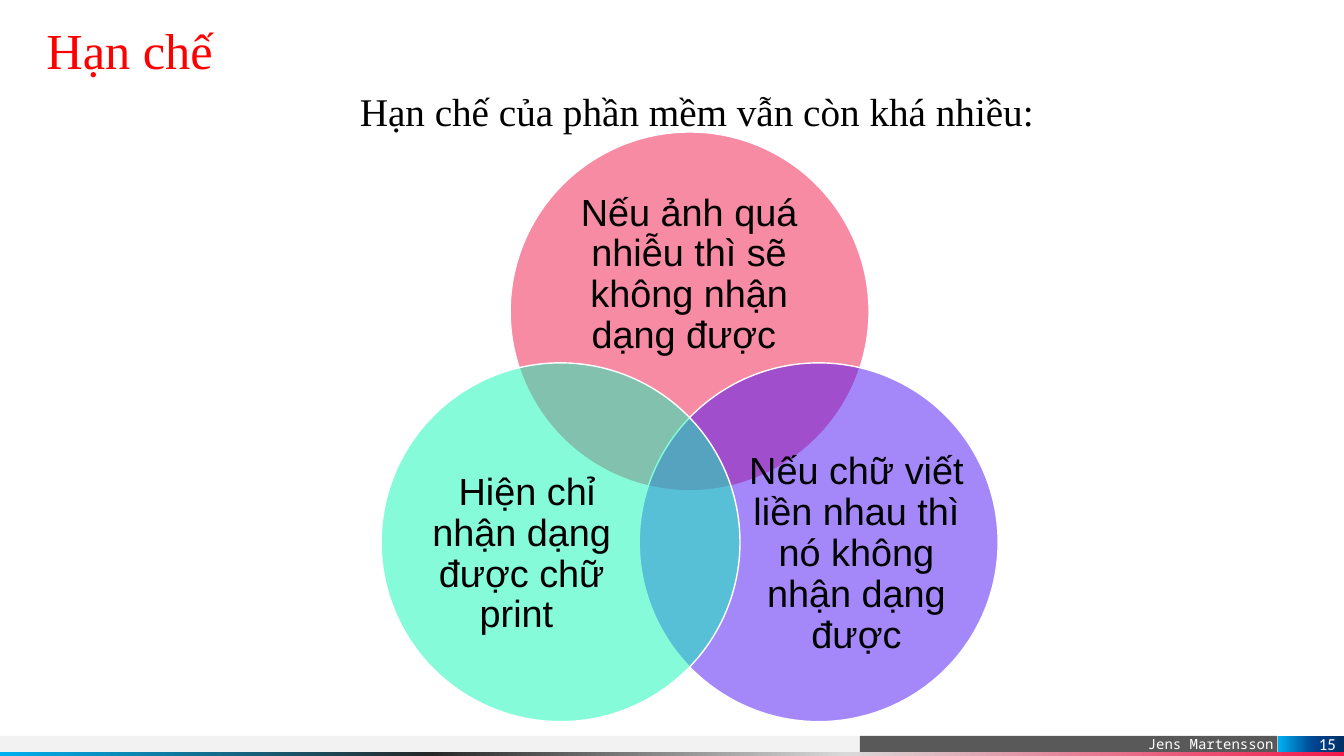
from dataclasses import dataclass

from lxml import etree
from pptx import Presentation
from pptx.dml.color import RGBColor
from pptx.enum.shapes import MSO_SHAPE
from pptx.enum.text import MSO_ANCHOR, MSO_AUTO_SIZE, PP_ALIGN
from pptx.oxml import parse_xml
from pptx.oxml.ns import nsdecls, qn
from pptx.util import Inches, Pt

RECTANGLE, OVAL = MSO_SHAPE.RECTANGLE, MSO_SHAPE.OVAL
LEFT, CENTER, RIGHT = PP_ALIGN.LEFT, PP_ALIGN.CENTER, PP_ALIGN.RIGHT
TOP, MIDDLE, BOTTOM = MSO_ANCHOR.TOP, MSO_ANCHOR.MIDDLE, MSO_ANCHOR.BOTTOM
NO_AUTO_SIZE = MSO_AUTO_SIZE.NONE


@dataclass(frozen=True)
class Theme:
    red: str = "FF0000"
    black: str = "000000"
    white: str = "FFFFFF"
    light_gray: str = "F2F2F2"
    dark_gray: str = "595959"
    pink: str = "F2194A"
    violet: str = "4B13F5"
    mint: str = "0CF8B6"
    strip_stops: tuple = ((0, "F2194A"), (37, "D9D9D9"), (68, "262626"), (100, "00B0F0"))
    number_stops: tuple = ((0, "003065"), (47, "004490"), (100, "00B0F0"))
    serif: str = "Times New Roman"
    sans: str = "Arial"
    mono: str = "Noto Sans Mono"
    number_font: str = "Calibri"
    title_size: int = 36
    lead_size: int = 28
    circle_size: int = 27
    number_size: int = 12
    footer_size: int = 10


def write_text(shape, text, *, font, size, color, align=LEFT, anchor=TOP,
               insets=(0, 0, 0, 0), line_spacing=None):
    frame = shape.text_frame
    frame.auto_size = NO_AUTO_SIZE
    frame.word_wrap = True
    frame.vertical_anchor = anchor
    (frame.margin_left, frame.margin_top,
     frame.margin_right, frame.margin_bottom) = [Inches(inset) for inset in insets]
    paragraph = frame.paragraphs[0]
    paragraph.alignment = align
    paragraph.line_spacing = line_spacing
    run = paragraph.add_run()
    run.text = text
    run.font.name = font
    run.font.size = Pt(size)
    run.font.color.rgb = RGBColor.from_string(color)


class SlideBuilder:
    def __init__(self, slide, theme):
        self.slide = slide
        self.theme = theme

    def title(self, text, box, **text_format):
        shape = self.slide.shapes.title
        shape.left, shape.top, shape.width, shape.height = map(Inches, box)
        write_text(shape, text, **text_format)

    def text_box(self, text, box, **text_format):
        shape = self.slide.shapes.add_textbox(*map(Inches, box))
        write_text(shape, text, **text_format)

    def filled_shape(self, kind, box, color):
        shape = self.slide.shapes.add_shape(kind, *map(Inches, box))
        shape.shadow.inherit = False
        shape.fill.solid()
        shape.fill.fore_color.rgb = RGBColor.from_string(color)
        shape.line.fill.background()
        return shape

    def gradient_bar(self, box, stops):
        """Bar whose first stop lies at the right end."""
        shape = self.filled_shape(RECTANGLE, box, stops[0][1])
        stop_xml = "".join(
            f'<a:gs pos="{position * 1000}"><a:srgbClr val="{color}"/></a:gs>'
            for position, color in stops)
        gradient = parse_xml(
            f'<a:gradFill {nsdecls("a")} rotWithShape="1"><a:gsLst>{stop_xml}</a:gsLst>'
            '<a:lin ang="10800000" scaled="0"/></a:gradFill>')
        properties = shape.element.spPr
        properties.replace(properties.find(qn("a:solidFill")), gradient)
        return shape

    def venn_circle(self, center, diameter, color, text, text_area):
        left, top = (middle - diameter / 2 for middle in center)
        circle = self.filled_shape(OVAL, (left, top, diameter, diameter), color)
        circle.line.color.rgb = RGBColor.from_string(self.theme.white)
        circle.line.width = Pt(1)
        color_element = circle.element.spPr.find(qn("a:solidFill"))[0]
        etree.SubElement(color_element, qn("a:alpha")).set("val", "50000")
        self.text_box(text, text_area, font=self.theme.sans,
                      size=self.theme.circle_size, color=self.theme.black,
                      align=CENTER, anchor=MIDDLE, line_spacing=0.9)


def main():
    theme = Theme()
    presentation = Presentation()
    presentation.slide_width = Inches(13.33)
    presentation.slide_height = Inches(7.5)
    slide = presentation.slides.add_slide(presentation.slide_layouts[5])
    builder = SlideBuilder(slide, theme)

    # Footer bars
    bar_top, bar_height = 7.3, 0.16
    builder.filled_shape(RECTANGLE, (-0.01, bar_top, 10.29, bar_height), theme.light_gray)
    footer = builder.filled_shape(RECTANGLE, (8.53, bar_top, 4.14, bar_height), theme.dark_gray)
    write_text(footer, "Jens Martensson", font=theme.mono, size=theme.footer_size,
               color=theme.white, align=RIGHT, anchor=BOTTOM, insets=(0.1, 0, 0.04, 0))
    builder.gradient_bar((-0.01, 7.46, 13.34, 0.04), theme.strip_stops)
    number = builder.gradient_bar((12.68, bar_top, 0.65, bar_height), theme.number_stops)
    write_text(number, "15", font=theme.number_font, size=theme.number_size,
               color=theme.white, align=RIGHT, anchor=MIDDLE, insets=(0, 0, 0.08, 0))

    # Title and lead sentence
    builder.title("Hạn chế", (0.46, 0.23, 12.55, 0.59), font=theme.serif,
                  size=theme.title_size, color=theme.red, anchor=MIDDLE, line_spacing=0.9)
    builder.text_box("Hạn chế của phần mềm vẫn còn khá nhiều:", (3.47, 0.82, 9.21, 0.57),
                     font=theme.serif, size=theme.lead_size, color=theme.black,
                     insets=(0.1, 0.05, 0.1, 0.05))

    # Venn diagram
    diameter = 3.56
    axis, spread = 6.84, 1.28
    upper, lower = 3.09, 5.38
    limitations = (
        ((axis, upper), theme.pink, "Nếu ảnh quá nhiễu thì sẽ không nhận dạng được ",
         (5.53, 1.93, 2.61, 1.6)),
        ((axis + spread, lower), theme.violet,
         "Nếu chữ viết liền nhau thì nó không nhận dạng được", (7.43, 4.52, 2.13, 1.96)),
        ((axis - spread, lower), theme.mint, " Hiện chỉ nhận dạng được chữ print ",
         (4.11, 4.52, 2.13, 1.96)),
    )
    for center, color, text, text_area in limitations:
        builder.venn_circle(center, diameter, color, text, text_area)

    presentation.save("out.pptx")


if __name__ == "__main__":
    main()
